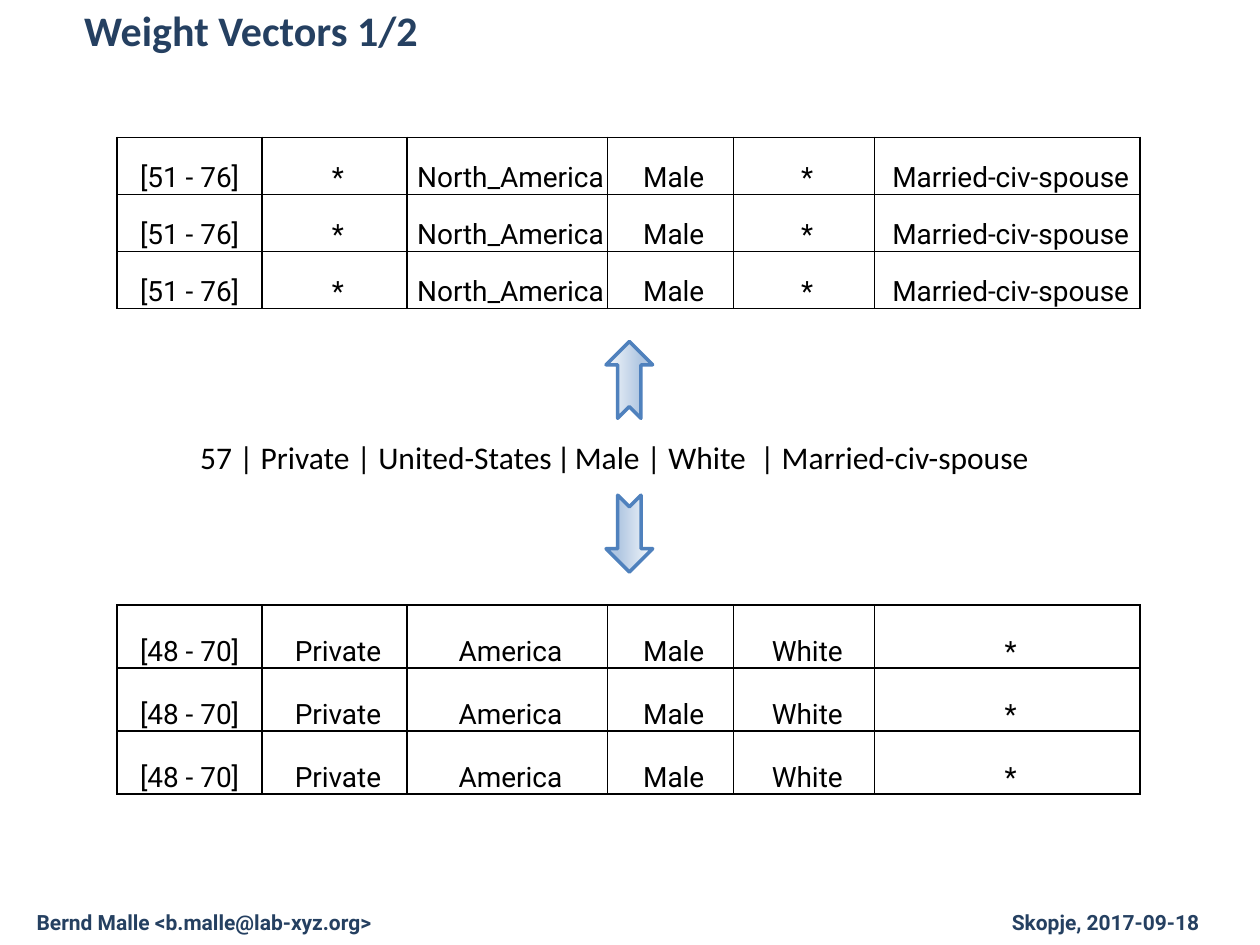
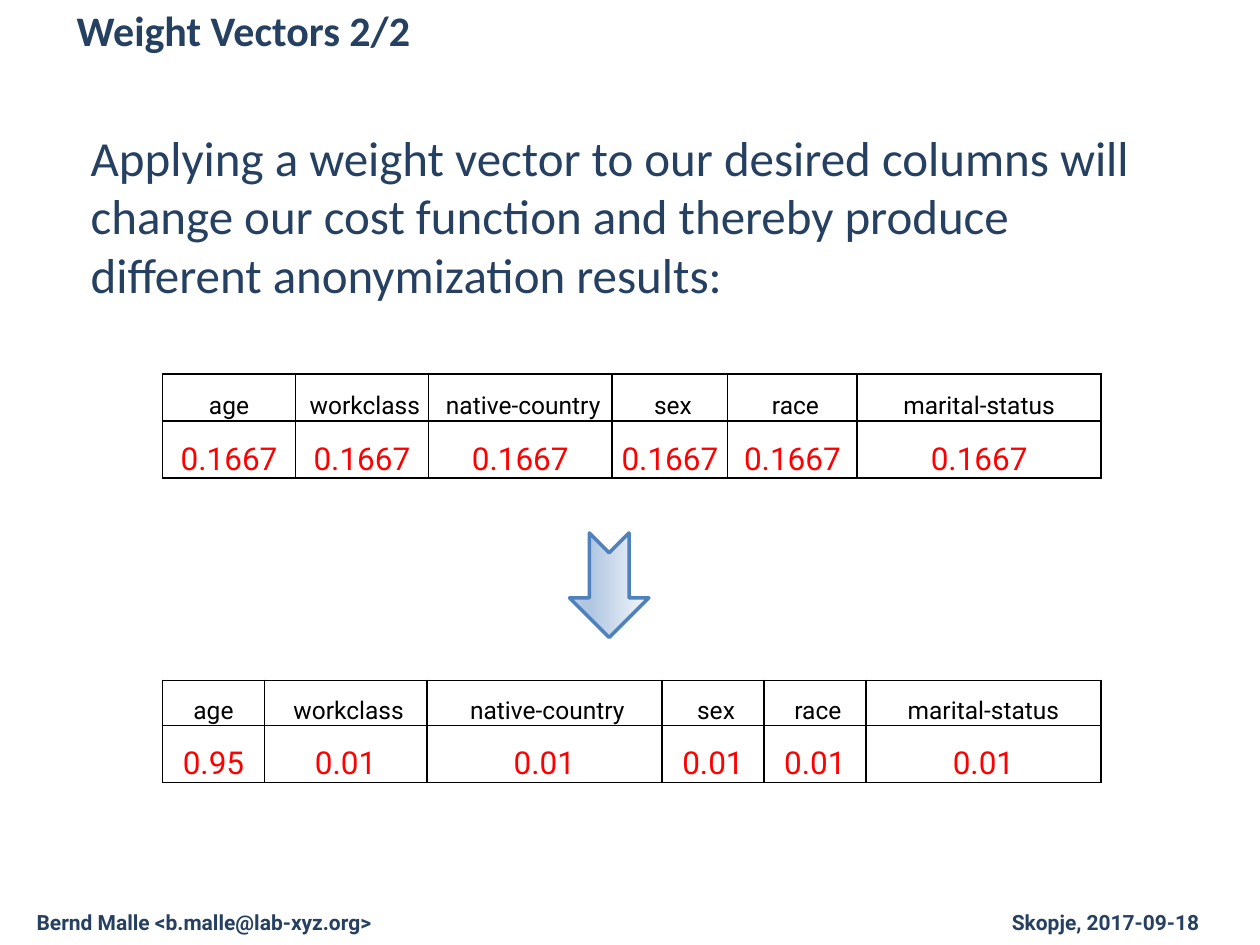
from lxml import etree
from pptx import Presentation
from pptx.dml.color import RGBColor
from pptx.enum.shapes import MSO_SHAPE
from pptx.enum.text import MSO_ANCHOR, PP_ALIGN
from pptx.oxml.ns import qn
from pptx.util import Inches, Pt

COLUMNS, ROWS = 100, 75
NAVY, BLACK, RED, BLUE = "254061", "000000", "FF0000", "4F81BD"
ARROW_STOPS = [(0, "F6F9FC"), (74, "B0C6E1"), (83, "B0C6E1"), (100, "CAD9EB")]
HEADING_FONT, DATA_FONT = "Calibri", "Roboto"
RECORD_COLUMNS = [11.5, 11.5, 15.9, 10, 11.2, 21.1]
WEIGHT_COLUMNS = [8.1, 12.9, 18.7, 8.1, 8.1, 18.7]
ATTRIBUTES = ["age", " workclass", " native-country", " sex", " race",
              " marital-status "]


def grid(steps):
    return Inches(steps * 10 / COLUMNS)


def color(hex_code):
    return RGBColor.from_string(hex_code)


def style(run, size, font, hex_code, bold=False):
    run.font.size = Pt(size)
    run.font.name = font
    run.font.bold = bold
    run.font.color.rgb = color(hex_code)


def add_text(slide, box, parts, size, hex_code, bold=False, inset=None):
    frame = slide.shapes.add_textbox(*map(grid, box)).text_frame
    frame.word_wrap = True
    if inset is not None:
        frame.margin_left = frame.margin_right = grid(inset)
        frame.margin_top = frame.margin_bottom = grid(inset)
    for words, font in parts:
        run = frame.paragraphs[0].add_run()
        run.text = words
        style(run, size, font, hex_code, bold)


def add_borders(cell):
    properties = cell._tc.get_or_add_tcPr()
    for position, side in enumerate(("lnL", "lnR", "lnT", "lnB")):
        border = etree.Element(qn(f"a:{side}"), w=str(Pt(1)))
        fill = etree.SubElement(border, qn("a:solidFill"))
        etree.SubElement(fill, qn("a:srgbClr"), val=BLACK)
        properties.insert(position, border)


def add_grid_table(slide, left, top, width, proportions, heights, records, row_styles):
    table = slide.shapes.add_table(
        len(records), len(proportions), grid(left), grid(top),
        grid(width), grid(sum(heights))).table
    table.first_row = table.horz_banding = False
    for column, share in zip(table.columns, proportions):
        column.width = grid(width * share / sum(proportions))
    for row, height, record, (size, hex_code) in zip(
            table.rows, heights, records, row_styles):
        row.height = grid(height)
        for cell, value in zip(row.cells, record):
            cell.text_frame.text = value
            cell.vertical_anchor = MSO_ANCHOR.BOTTOM
            cell.margin_left = cell.margin_right = cell.margin_top = grid(0.1)
            cell.margin_bottom = 0
            paragraph = cell.text_frame.paragraphs[0]
            paragraph.alignment = PP_ALIGN.CENTER
            style(paragraph.runs[0], size, DATA_FONT, hex_code)
            cell.fill.background()
            add_borders(cell)


def add_record_table(slide, top, height, record):
    add_grid_table(slide, 9.3, top, 81.2, RECORD_COLUMNS, [height] * 3,
                   [record] * 3, [(16, BLACK)] * 3)


def add_weight_table(slide, top, proportions, heights, weights):
    add_grid_table(slide, 12.9, top, 74.5, proportions, heights,
                   [ATTRIBUTES, weights], [(14, BLACK), (18, RED)])


def add_arrow(slide, box, rotation):
    arrow = slide.shapes.add_shape(MSO_SHAPE.NOTCHED_RIGHT_ARROW, *map(grid, box))
    arrow.rotation = rotation
    arrow.shadow.inherit = False
    arrow.line.color.rgb = color(BLUE)
    arrow.line.width = Pt(2)
    arrow.fill.gradient()
    arrow.fill.gradient_angle = 270
    stops = next(arrow.element.iter(qn("a:gsLst")))
    for stop in list(stops):
        stops.remove(stop)
    for percent, hex_code in ARROW_STOPS:
        stop = etree.SubElement(stops, qn("a:gs"), pos=str(percent * 1000))
        etree.SubElement(stop, qn("a:srgbClr"), val=hex_code)


def add_titled_slide(deck, title, left):
    slide = deck.slides.add_slide(deck.slide_layouts[6])
    for edge, width, words in ((2.4, 30.2, "Bernd Malle <b.malle@lab-xyz.org>"),
                               (79.8, 18.1, "Skopje, 2017-09-18")):
        add_text(slide, (edge, 71.7, width, 3), [(words, DATA_FONT)],
                 12, NAVY, bold=True, inset=0.5)
    add_text(slide, (left, -0.1, 85.4 - left, 4.7), [(title, HEADING_FONT)],
             24, NAVY, bold=True)
    return slide


def build_record_slide(deck):
    slide = add_titled_slide(deck, "Weight Vectors 1/2", 5.7)
    add_record_table(slide, 10.9, 4.53, ["[51 - 76]", " *", " North_America",
                                         " Male", " *", " Married-civ-spouse"])
    add_record_table(slide, 48, 5, ["[48 - 70]", " Private", " America",
                                    " Male", " White", " *"])
    add_text(slide, (14.9, 34.3, 70, 4),
             [("57 | Private | United-States", HEADING_FONT), (" |", DATA_FONT),
              (" Male | White  | Married-civ-spouse", HEADING_FONT)], 18, BLACK)
    for top, rotation in ((28.3, 270), (40.5, 90)):
        add_arrow(slide, (46.9, top, 6.1, 3.7), rotation)


def build_weight_slide(deck):
    slide = add_titled_slide(deck, "Weight Vectors 2/2", 5.1)
    add_text(slide, (6.7, 9.6, 84, 15),
             [("Applying a weight vector to our desired columns will change our "
               "cost function and thereby produce different anonymization results:",
               HEADING_FONT)], 28, NAVY, inset=0.5)
    add_weight_table(slide, 29.7, RECORD_COLUMNS, [3.7, 4.55], ["0.1667"] * 6)
    add_arrow(slide, (44.2, 43.3, 8.3, 6.3), 90)
    add_weight_table(slide, 54, WEIGHT_COLUMNS, [3.6, 4.5], ["0.95"] + ["0.01"] * 5)


def main():
    deck = Presentation()
    deck.slide_width, deck.slide_height = grid(COLUMNS), grid(ROWS)
    build_record_slide(deck)
    build_weight_slide(deck)
    deck.save("out.pptx")


if __name__ == "__main__":
    main()
